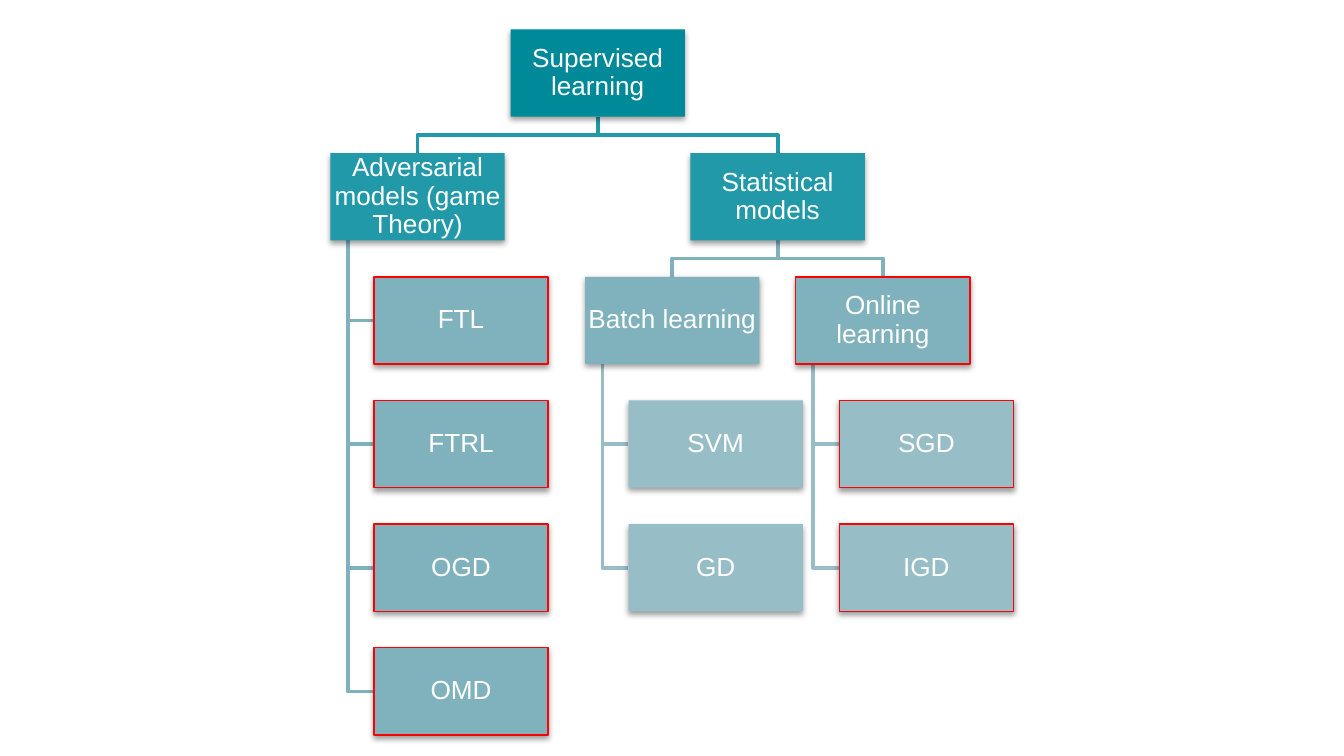
import pptx
import pptx.dml.color
import pptx.enum.text
import pptx.oxml
import pptx.oxml.ns
import pptx.util
from pptx.util import Pt

COLORS = {
    "root": "008998",
    "model": "2299A8",
    "family": "7FB2BD",
    "method": "97BEC7",
    "outline": "FF0000",
    "text": "FFFFFF",
}
BOX_WIDTH, BOX_HEIGHT = 93.4, 46.7
TOP, ROW_STEP = 15.8, 66.25
HANG_INSET = BOX_WIDTH / 10

# label: (left, row, level, outlined, parent, hangs from the parent's side)
NODES = {
    "Supervised learning": (273.5, 0, "root", False, None, False),
    "Adversarial models (game Theory)": (177, 1, "model", False, "Supervised learning", False),
    "Statistical models": (369.9, 1, "model", False, "Supervised learning", False),
    "Batch learning": (313.4, 2, "family", False, "Statistical models", False),
    "Online learning": (426.3, 2, "family", True, "Statistical models", False),
}
BRANCHES = [
    ("Adversarial models (game Theory)", 200.3, "family", True, ["FTL", "FTRL", "OGD", "OMD"]),
    ("Batch learning", 336.7, "method", False, ["SVM", "GD"]),
    ("Online learning", 449.6, "method", True, ["SGD", "IGD"]),
]
for parent, left, level, outlined, labels in BRANCHES:
    first_row = NODES[parent][1] + 1
    for row, label in enumerate(labels, first_row):
        NODES[label] = (left, row, level, outlined, parent, True)

SHADOW = (
    '<a:outerShdw %s blurRad="40000" dist="20000" dir="5400000" rotWithShape="0">'
    '<a:srgbClr val="000000"><a:alpha val="38000"/></a:srgbClr></a:outerShdw>'
    % pptx.oxml.ns.nsdecls("a")
)


def color(name):
    return pptx.dml.color.RGBColor.from_string(COLORS[name])


presentation = pptx.Presentation()
presentation.slide_width, presentation.slide_height = Pt(720), Pt(405)
slide = presentation.slides.add_slide(presentation.slide_layouts[6])

# Branch lines, behind the boxes
for left, row, level, outlined, parent, hangs in NODES.values():
    if parent is None:
        continue
    top = TOP + row * ROW_STEP
    parent_left, parent_row = NODES[parent][:2]
    parent_bottom = TOP + parent_row * ROW_STEP + BOX_HEIGHT
    if hangs:
        x, y = parent_left + HANG_INSET, top + BOX_HEIGHT / 2
        points = [(x, parent_bottom), (x, y), (left, y)]
    else:
        start_x, end_x = parent_left + BOX_WIDTH / 2, left + BOX_WIDTH / 2
        y = (parent_bottom + top) / 2
        points = [(start_x, parent_bottom), (start_x, y), (end_x, y), (end_x, top)]
    points = [(Pt(x), Pt(y)) for x, y in points]
    builder = slide.shapes.build_freeform(*points[0])
    builder.add_line_segments(points[1:], close=False)
    branch = builder.convert_to_shape()
    branch.shadow.inherit = False
    branch.fill.background()
    branch.line.color.rgb = color(level)
    branch.line.width = Pt(2)

# Boxes
for label, (left, row, level, outlined, parent, hangs) in NODES.items():
    box = slide.shapes.add_shape(
        pptx.enum.shapes.MSO_SHAPE.RECTANGLE,
        Pt(left), Pt(TOP + row * ROW_STEP), Pt(BOX_WIDTH), Pt(BOX_HEIGHT),
    )
    box.fill.solid()
    box.fill.fore_color.rgb = color(level)
    if outlined:
        box.line.color.rgb = color("outline")
        box.line.width = Pt(0.75)
    else:
        box.line.fill.background()
    box.shadow.inherit = False
    effects = box._element.spPr.find(pptx.oxml.ns.qn("a:effectLst"))
    effects.append(pptx.oxml.parse_xml(SHADOW))

    frame = box.text_frame
    frame.word_wrap = True
    frame.vertical_anchor = pptx.enum.text.MSO_ANCHOR.MIDDLE
    frame.margin_left = frame.margin_right = Pt(0.7)
    frame.margin_top = frame.margin_bottom = Pt(0.7)
    paragraph = frame.paragraphs[0]
    paragraph.text = label
    paragraph.alignment = pptx.enum.text.PP_ALIGN.CENTER
    paragraph.line_spacing = 0.9
    paragraph.font.name = "Arial"
    paragraph.font.size = Pt(14)
    paragraph.font.color.rgb = color("text")

presentation.save("out.pptx")
